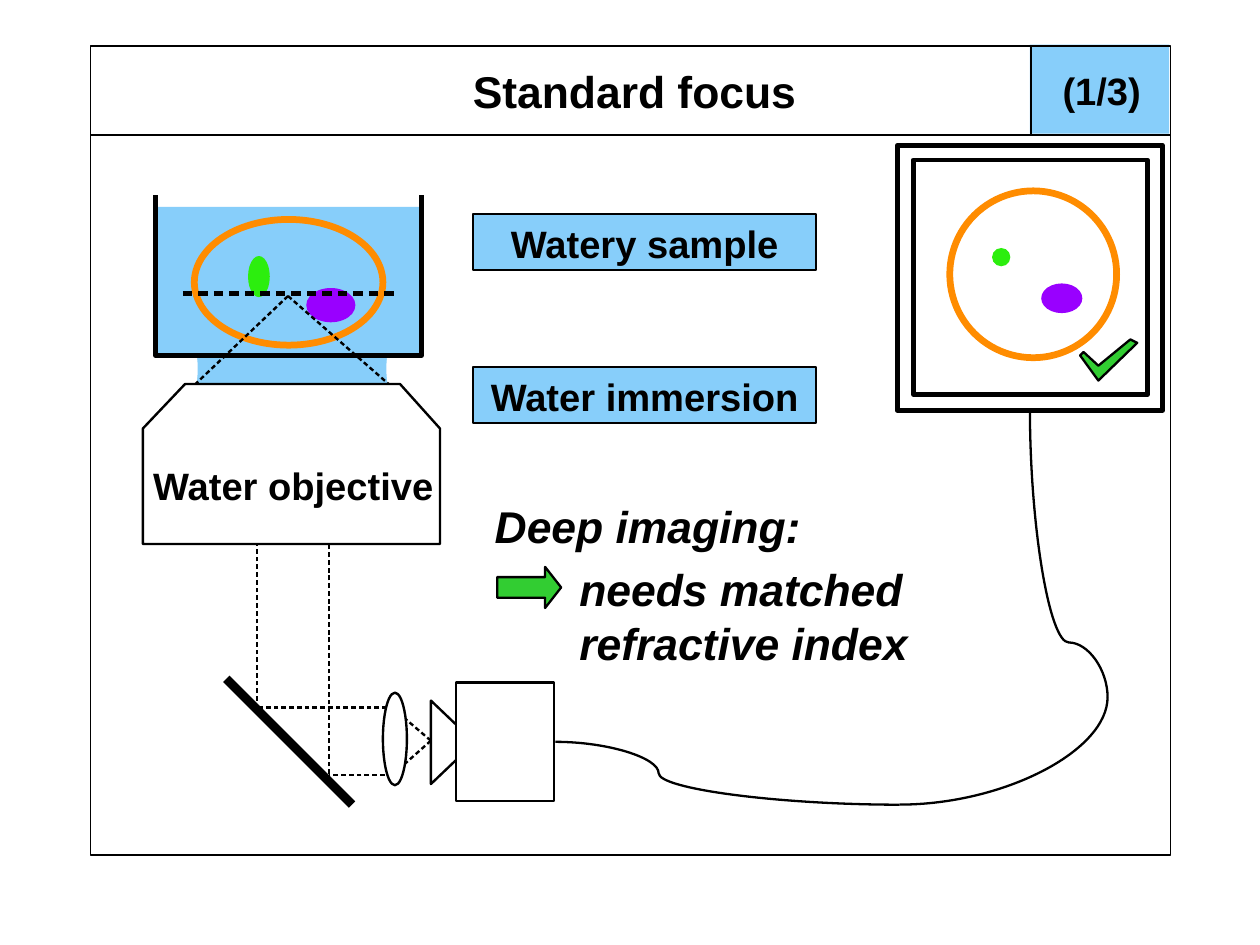
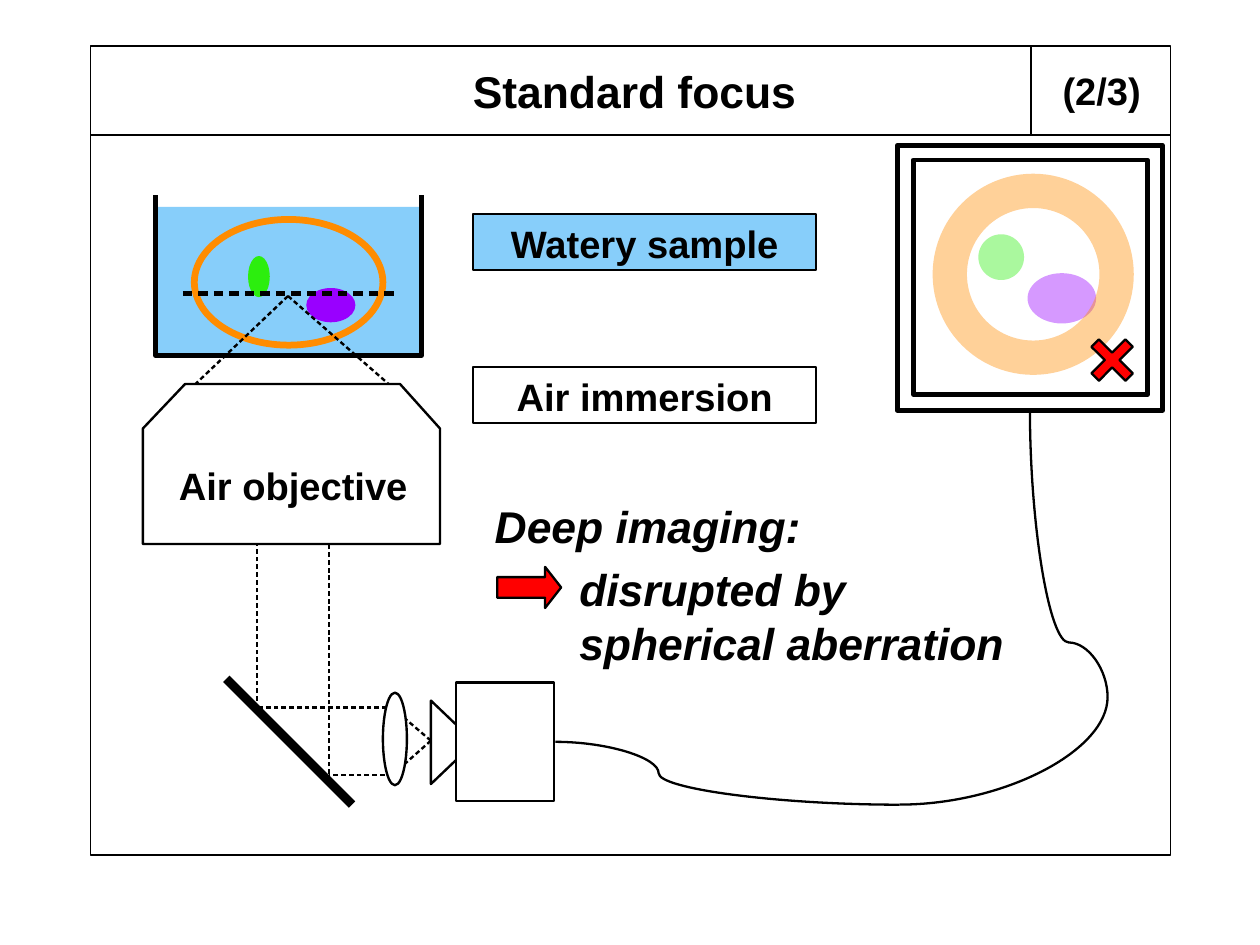
from dataclasses import dataclass

from lxml.etree import SubElement
from pptx import Presentation
from pptx.dml.color import RGBColor
from pptx.enum.shapes import MSO_CONNECTOR, MSO_SHAPE
from pptx.enum.text import MSO_ANCHOR, MSO_AUTO_SIZE, PP_ALIGN
from pptx.oxml.ns import qn
from pptx.util import Cm, Inches, Pt


@dataclass(frozen=True)
class Theme:
    font: str = "Arial"
    ink: str = "000000"
    white: str = "FFFFFF"
    water: str = "87CEFA"
    membrane: str = "FF8C00"
    green_body: str = "2CEE0E"
    purple_body: str = "9900FF"
    good: str = "32CD32"
    bad: str = "FF0000"
    heading: int = 28
    label: int = 24
    frame: float = 1
    thin: float = 1.45
    ray: float = 1.5
    wall: float = 2.89
    screen: float = 3
    cell: float = 4.25
    mirror: float = 5.67


THEME = Theme()

SLIDES = [
    dict(title="Standard focus", page="(1/3)", medium="Water immersion",
         objective="Water objective", lead="Deep imaging:",
         claim="needs matched refractive index", matched=True,
         ring_width=THEME.cell, opacity=100,
         green_size=(0.16, 0.16), purple_size=(0.36, 0.26)),
    dict(title="Standard focus", page="(2/3)", medium="Air immersion",
         objective="Air objective", lead="Deep imaging:",
         claim="disrupted by spherical aberration", matched=False,
         ring_width=21.6, opacity=40,
         green_size=(0.4, 0.4), purple_size=(0.6, 0.44)),
]
SAMPLE = "Watery sample"

TANK = [(1.36, 1.71), (1.36, 3.11), (3.69, 3.11), (3.69, 1.71)]
OBJECTIVE = [(1.62, 3.36), (3.5, 3.36), (3.85, 3.75), (3.85, 4.76), (1.25, 4.76), (1.25, 3.75)]
CAMERA_FUNNEL = [(3.99, 6.34), (3.77, 6.13), (3.77, 6.86), (3.99, 6.65)]
CHECK = [(9.45, 3.11), (9.61, 3.33), (9.95, 3), (9.89, 2.97), (9.61, 3.2), (9.48, 3.08)]
MIRROR_RAYS = [((3.5, 6.78), (2.88, 6.78)), ((3.52, 6.19), (2.21, 6.19)),
               ((2.25, 6.2), (2.25, 4.55)), ((2.88, 6.84), (2.88, 4.55))]
FOCUS = (2.52, 2.59)
FOCUS_RAYS = [(FOCUS, (1.71, 3.36)), (FOCUS, (3.4, 3.36))]
CAMERA_RAYS = [((3.77, 6.48), (3.5, 6.72)), ((3.77, 6.48), (3.5, 6.25))]
SCREEN_FRAMES = [(7.99, 1.4, 2.05, 2.05), (7.85, 1.27, 2.32, 2.32)]
RING_CENTRE, RING_SIZE = (9.04, 2.4), (1.46, 1.46)
GREEN_CENTRE, PURPLE_CENTRE = (8.76, 2.25), (9.29, 2.61)


def around(centre, size):
    return (centre[0] - size[0] / 2, centre[1] - size[1] / 2, *size)


def paint(shape, fill=None, line=None, width=THEME.ray, opacity=100):
    shape.shadow.inherit = False
    if fill:
        shape.fill.solid()
        shape.fill.fore_color.rgb = RGBColor.from_string(fill)
    else:
        shape.fill.background()
    if line:
        shape.line.color.rgb = RGBColor.from_string(line)
        shape.line.width = Pt(width)
    else:
        shape.line.fill.background()
    if opacity < 100:
        for colour in shape.element.spPr.iter(qn("a:srgbClr")):
            SubElement(colour, qn("a:alpha"), val=str(opacity * 1000))
    return shape


def preset(slide, kind, box, **look):
    return paint(slide.shapes.add_shape(kind, *map(Inches, box)), **look)


def rect(slide, box, **look):
    return preset(slide, MSO_SHAPE.RECTANGLE, box, **look)


def ellipse(slide, box, **look):
    return preset(slide, MSO_SHAPE.OVAL, box, **look)


def outline(slide, points, close=False, **look):
    first, *rest = [(Inches(x), Inches(y)) for x, y in points]
    builder = slide.shapes.build_freeform(*first)
    builder.add_line_segments(rest, close=close)
    return paint(builder.convert_to_shape(), **look)


def line(slide, begin, end, width=THEME.ray, dashed=False, kind=MSO_CONNECTOR.STRAIGHT):
    connector = slide.shapes.add_connector(kind, *map(Inches, (*begin, *end)))
    connector.line.color.rgb = RGBColor.from_string(THEME.ink)
    connector.line.width = Pt(width)
    properties = connector.element.spPr
    if dashed:
        dashes = SubElement(properties.find(qn("a:ln")), qn("a:custDash"))
        SubElement(dashes, qn("a:ds"), d="200000", sp="125000")
    SubElement(properties, qn("a:effectLst"))
    return connector


def cable(slide, begin, end, bend=None, upright=False):
    if upright:
        centre_x, centre_y = (begin[0] + end[0]) / 2, (begin[1] + end[1]) / 2
        half_w, half_h = abs(end[1] - begin[1]) / 2, abs(end[0] - begin[0]) / 2
        begin = (centre_x - half_w, centre_y + half_h)
        end = (centre_x + half_w, centre_y - half_h)
    curve = line(slide, begin, end, THEME.thin, kind=MSO_CONNECTOR.CURVE)
    properties = curve.element.spPr
    if upright:
        properties.find(qn("a:xfrm")).set("rot", str(270 * 60000))
    geometry = properties.find(qn("a:prstGeom"))
    if bend is None:
        geometry.set("prst", "curvedConnector2")
    else:
        guides = geometry.find(qn("a:avLst"))
        if guides is None:
            guides = SubElement(geometry, qn("a:avLst"))
        SubElement(guides, qn("a:gd"), name="adj1", fmla=f"val {round(bend * 100000)}")


def write(shape, words, size=THEME.label, align=PP_ALIGN.CENTER, italic=False, inset=(0.1, 0.05)):
    frame = shape.text_frame
    frame.word_wrap = True
    frame.auto_size = MSO_AUTO_SIZE.NONE
    frame.vertical_anchor = MSO_ANCHOR.TOP
    frame.margin_left = frame.margin_right = Inches(inset[0])
    frame.margin_top = frame.margin_bottom = Inches(inset[1])
    frame.text = words
    paragraph = frame.paragraphs[0]
    paragraph.alignment = align
    font = paragraph.font
    font.name, font.size, font.bold, font.italic = THEME.font, Pt(size), True, italic
    font.color.rgb = RGBColor.from_string(THEME.ink)


def text(slide, box, words, **style):
    write(slide.shapes.add_textbox(*map(Inches, box)), words, **style)


def draw_water_drop(slide):
    rect(slide, (1.64, 2.95, 1.86, 0.95), fill=THEME.water)
    for left in (0.11, 3.38):
        ellipse(slide, (left, 2.43, 1.62, 1.59), fill=THEME.white)


def draw_heading(slide, content):
    title = slide.shapes.title
    title.left, title.top, title.width, title.height = map(Inches, (1.4, 0.51, 8.3, 0.84))
    write(title, content["title"], THEME.heading)
    if content["matched"]:
        rect(slide, (9.01, 0.39, 1.22, 0.78), fill=THEME.water)
    rect(slide, (0.79, 0.4, 9.45, 7.08), line=THEME.ink, width=THEME.frame)
    line(slide, (0.79, 1.18), (10.24, 1.18))
    line(slide, (9.02, 1.18), (9.02, 0.39))
    text(slide, (9.13, 0.54, 0.95, 0.84), content["page"], align=PP_ALIGN.RIGHT)


def draw_microscope(slide, content):
    rect(slide, (1.36, 1.81, 2.32, 1.28), fill=THEME.water)
    outline(slide, TANK, line=THEME.ink, width=THEME.wall)
    for begin, end in MIRROR_RAYS:
        line(slide, begin, end, dashed=True)
    line(slide, (1.98, 5.94), (3.08, 7.04), THEME.mirror)
    ellipse(slide, (2.17, 2.24, 0.19, 0.36), fill=THEME.green_body)
    ellipse(slide, (1.7, 1.92, 1.65, 1.1), line=THEME.membrane, width=THEME.cell)
    ellipse(slide, (2.68, 2.52, 0.43, 0.3), fill=THEME.purple_body)
    outline(slide, OBJECTIVE, close=True, fill=THEME.white, line=THEME.ink)
    for begin, end in FOCUS_RAYS:
        line(slide, begin, end, dashed=True)
    line(slide, (1.6, 2.57), (3.48, 2.57), THEME.screen, dashed=True)
    text(slide, (0.89, 4, 3.35, 0.84), content["objective"])


def draw_camera(slide):
    rect(slide, (3.99, 5.97, 0.86, 1.04), line=THEME.ink)
    outline(slide, CAMERA_FUNNEL, line=THEME.ink)
    for begin, end in CAMERA_RAYS:
        line(slide, begin, end, dashed=True)
    ellipse(slide, (3.35, 6.06, 0.21, 0.81), fill=THEME.white, line=THEME.ink)
    cable(slide, (4.86, 6.49), (7.87, 7.04), bend=0.3)
    cable(slide, (9.69, 6.1), (9.01, 3.58), bend=0.19, upright=True)
    cable(slide, (7.87, 7.04), (9.69, 6.1))


def draw_screen(slide, content):
    for box in SCREEN_FRAMES:
        rect(slide, box, line=THEME.ink, width=THEME.screen)
    opacity = content["opacity"]
    ellipse(slide, around(PURPLE_CENTRE, content["purple_size"]),
            fill=THEME.purple_body, opacity=opacity)
    ellipse(slide, around(RING_CENTRE, RING_SIZE), line=THEME.membrane,
            width=content["ring_width"], opacity=opacity)
    ellipse(slide, around(GREEN_CENTRE, content["green_size"]),
            fill=THEME.green_body, opacity=opacity)
    if content["matched"]:
        outline(slide, CHECK, close=True, fill=THEME.good, line=THEME.ink, width=THEME.thin)
    else:
        cross = preset(slide, MSO_SHAPE.CROSS, (9.52, 2.94, 0.42, 0.42),
                       fill=THEME.bad, line=THEME.ink, width=THEME.thin)
        cross.adjustments[0] = 0.39
        cross.rotation = 315


def draw_notes(slide, content):
    media = [(1.87, SAMPLE, THEME.water),
             (3.21, content["medium"], THEME.water if content["matched"] else None)]
    for top, words, fill in media:
        box = rect(slide, (4.14, top, 3, 0.49), fill=fill, line=THEME.ink, width=THEME.thin)
        write(box, words, inset=(0.11, 0.06))
    verdict = THEME.good if content["matched"] else THEME.bad
    arrow = preset(slide, MSO_SHAPE.RIGHT_ARROW, (4.35, 4.96, 0.56, 0.36),
                   fill=verdict, line=THEME.ink, width=THEME.thin)
    arrow.adjustments[1] = 0.39
    for box, words in (((4.97, 4.87, 4.2, 0.98), content["claim"]),
                       ((4.23, 4.32, 3.05, 0.58), content["lead"])):
        text(slide, box, words, size=THEME.heading, align=PP_ALIGN.LEFT, italic=True)


def main():
    deck = Presentation()
    deck.slide_width, deck.slide_height = Cm(28), Cm(21)
    title_only = deck.slide_layouts[5]
    for content in SLIDES:
        slide = deck.slides.add_slide(title_only)
        if content["matched"]:
            draw_water_drop(slide)
        draw_heading(slide, content)
        draw_microscope(slide, content)
        draw_camera(slide)
        draw_screen(slide, content)
        draw_notes(slide, content)
    deck.save("out.pptx")


if __name__ == "__main__":
    main()
